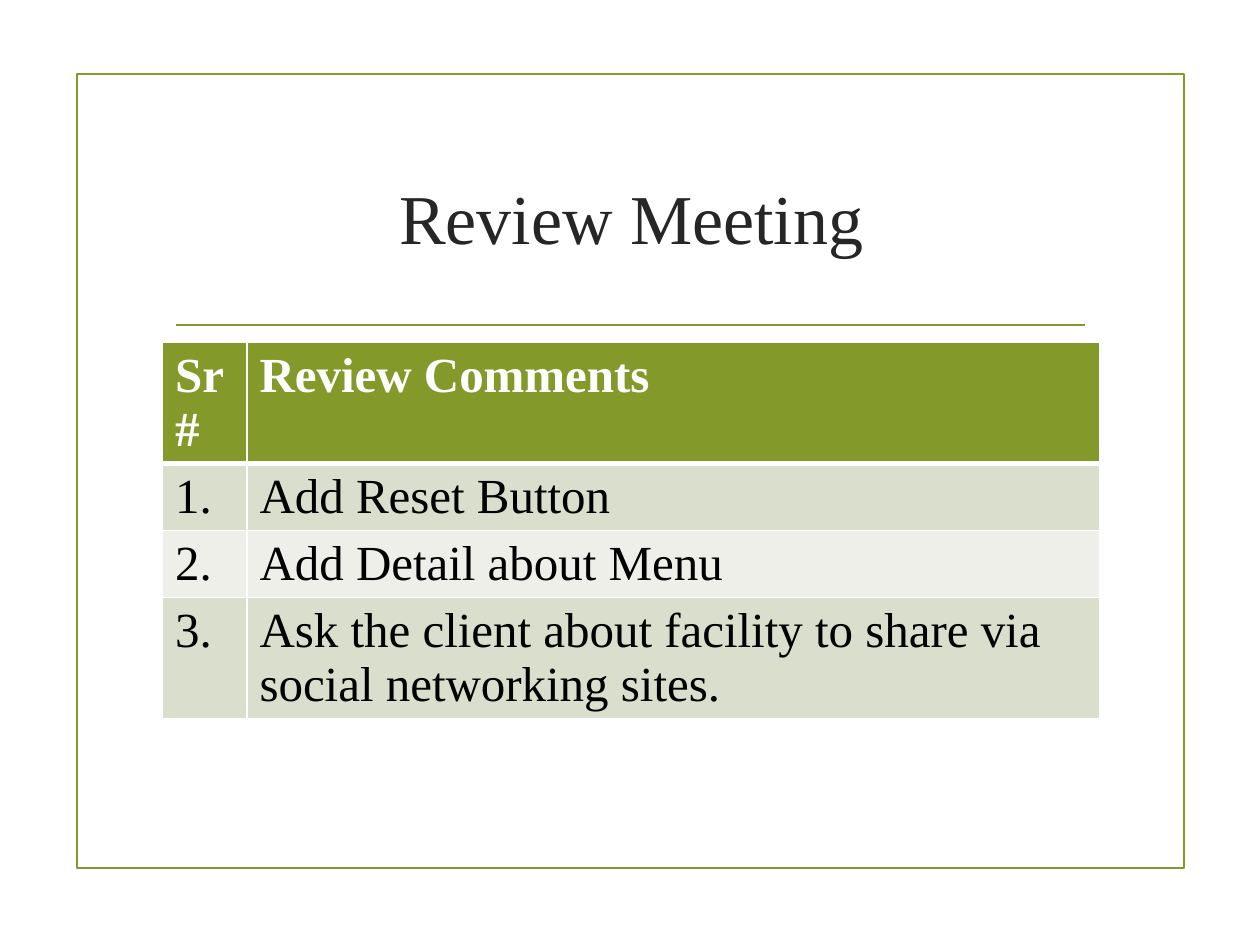
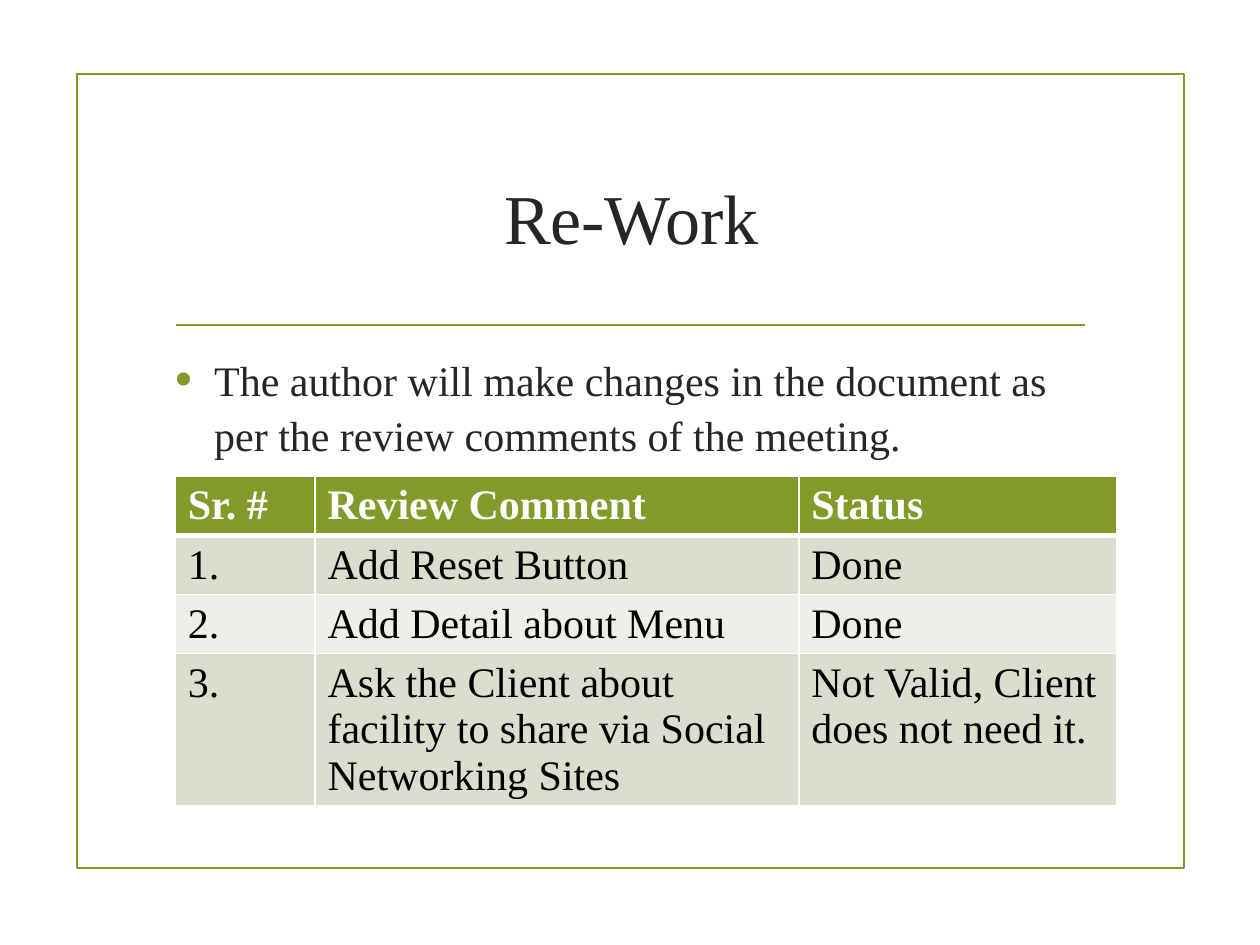
from lxml import etree
from pptx import Presentation
from pptx import util as u
from pptx.dml import color
from pptx.enum import shapes, text
from pptx.oxml import ns

COLORS = {
    "green": "83992A",
    "ink": "262626",
    "black": "000000",
    "white": "FFFFFF",
    "odd": "D9DECD",
    "even": "EDEFE8",
}
FONT = "Times New Roman"

prs = Presentation()
prs.slide_width = u.Inches(10)
prs.slide_height = u.Inches(7.5)
W, H = prs.slide_width / 10, prs.slide_height / 7.5
LEFT, WIDTH, BODY_TOP, ROW = 1.29, 7.44, 2.72, 0.41


def add_run(p, words, size, tone, bold=False):
    r = p.add_run()
    r.text = words
    r.font.name = FONT
    r.font.size = u.Pt(size)
    r.font.bold = bold
    r.font.color.rgb = color.RGBColor.from_string(COLORS[tone])


def add_element(parent, tag, **attributes):
    e = etree.SubElement(parent, ns.qn(tag))
    for key, value in attributes.items():
        e.set(key, str(value))
    return e


slides = [
    {
        "title": "Review Meeting",
        "body": None,
        "left": LEFT,
        "top": BODY_TOP,
        "columns": [0.67, 6.77],
        "size": 28,
        "rows": [
            ["Sr#", "Review Comments"],
            ["1.", "Add Reset Button"],
            ["2.", "Add Detail about Menu"],
            ["3.", "Ask the client about facility to share via social networking sites."],
        ],
    },
    {
        "title": "Re-Work",
        "body": "The author will make changes in the document as per the review comments of the meeting.",
        "left": 1.39,
        "top": 3.78,
        "columns": [1.11, 3.84, 2.52],
        "size": 24,
        "rows": [
            ["Sr. #", "Review Comment", "Status"],
            ["1.", "Add Reset Button", "Done"],
            ["2.", "Add Detail about Menu", "Done"],
            ["3.", "Ask the Client about facility to share via Social Networking Sites",
             "Not Valid, Client does not need it."],
        ],
    },
]

for content in slides:
    s = prs.slides.add_slide(prs.slide_layouts[1 if content["body"] else 5])

    frame = s.shapes.add_shape(shapes.MSO_SHAPE.RECTANGLE,
                               int(0.61 * W), int(0.59 * H), int(8.79 * W), int(6.3 * H))
    frame.shadow.inherit = False
    frame.fill.background()
    rule = s.shapes.add_connector(shapes.MSO_CONNECTOR.STRAIGHT,
                                  int(1.4 * W), int(2.58 * H), int(8.61 * W), int(2.58 * H))
    add_element(rule.element.spPr, "a:effectLst")
    for sp in (frame, rule):
        sp.line.color.rgb = color.RGBColor.from_string(COLORS["green"])
        sp.line.width = u.Pt(1.25)

    title = s.shapes.title
    title.left, title.top = int(LEFT * W), int(1 * H)
    title.width, title.height = int(WIDTH * W), int(1.43 * H)
    tf = title.text_frame
    tf.auto_size = text.MSO_AUTO_SIZE.NONE
    tf.vertical_anchor = text.MSO_ANCHOR.MIDDLE
    p = tf.paragraphs[0]
    p.alignment = text.PP_ALIGN.CENTER
    add_run(p, content["title"], 40, "ink")

    if content["body"]:
        body = s.placeholders[1]
        body.left, body.top = int(LEFT * W), int(BODY_TOP * H)
        body.width, body.height = int(WIDTH * W), int(3.77 * H)
        tf = body.text_frame
        tf.auto_size = text.MSO_AUTO_SIZE.NONE
        p = tf.paragraphs[0]
        p.line_spacing = 1.1
        p.space_before = u.Pt(0)
        p.space_after = u.Pt(6)
        pPr = p._p.get_or_add_pPr()
        pPr.set("marL", str(u.Inches(0.31)))
        pPr.set("indent", str(-u.Inches(0.31)))
        add_element(add_element(pPr, "a:buClr"), "a:srgbClr", val=COLORS["green"])
        add_element(pPr, "a:buSzPct", val=115000)
        add_element(pPr, "a:buFont", typeface="Arial")
        add_element(pPr, "a:buChar", char="•")
        add_run(p, content["body"], 24, "ink")

    rows, columns = content["rows"], content["columns"]
    table = s.shapes.add_table(len(rows), len(columns),
                               int(content["left"] * W), int(content["top"] * H),
                               int(sum(columns) * W), int(ROW * len(rows) * H)).table
    for column, width in zip(table.columns, columns):
        column.width = int(width * W)
    for i, row in enumerate(rows):
        table.rows[i].height = int(ROW * H)
        header = i == 0
        fill = "green" if header else "odd" if i % 2 else "even"
        for j, words in enumerate(row):
            cell = table.cell(i, j)
            add_run(cell.text_frame.paragraphs[0], words, content["size"],
                    "white" if header else "black", header)
            tcPr = cell._tc.get_or_add_tcPr()
            for side in "LRTB":
                thick = (header and side == "B") or (i == 1 and side == "T")
                ln = add_element(tcPr, "a:ln" + side, w=u.Pt(3 if thick else 1))
                add_element(add_element(ln, "a:solidFill"), "a:srgbClr", val=COLORS["white"])
            cell.fill.solid()
            cell.fill.fore_color.rgb = color.RGBColor.from_string(COLORS[fill])

prs.save("out.pptx")
